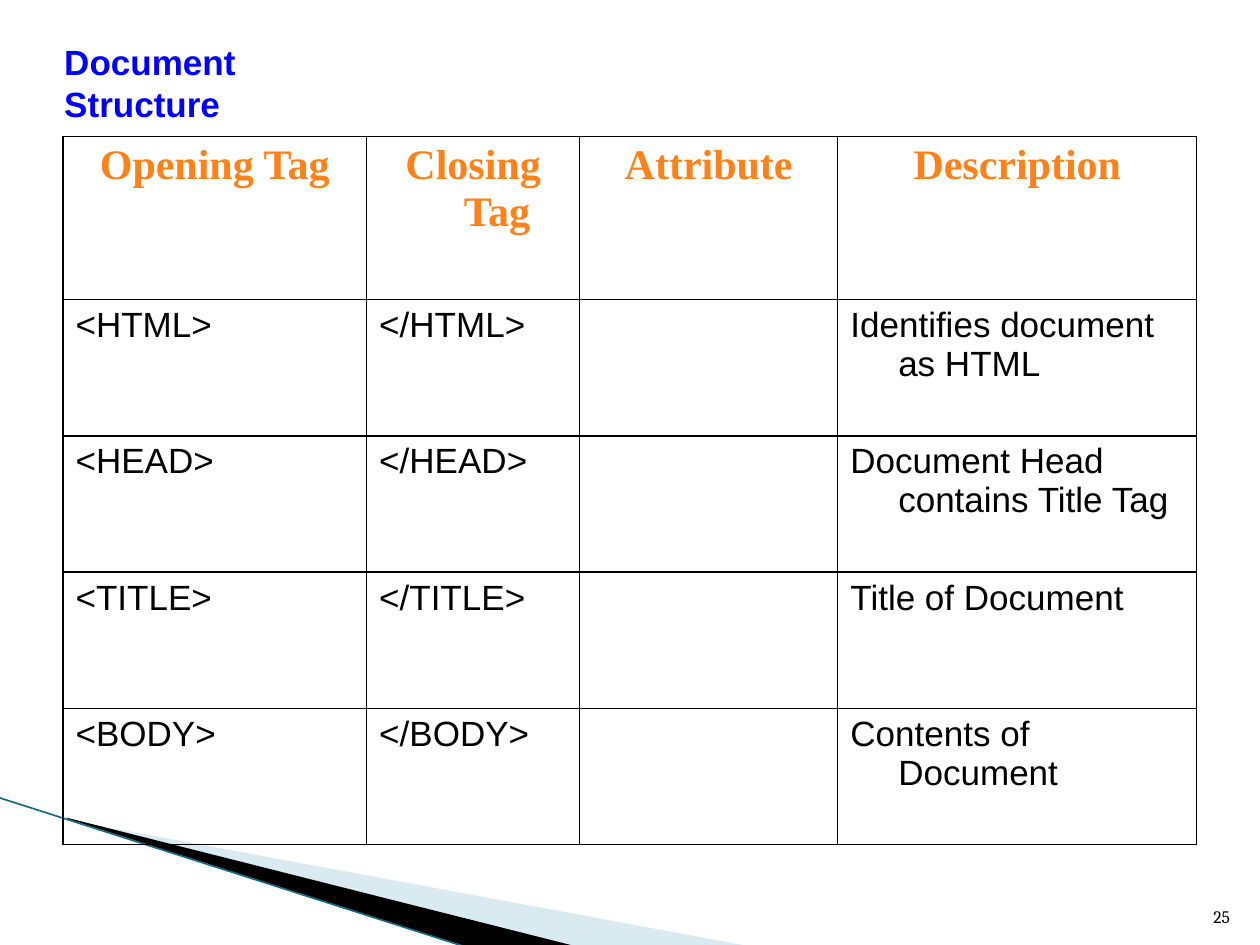
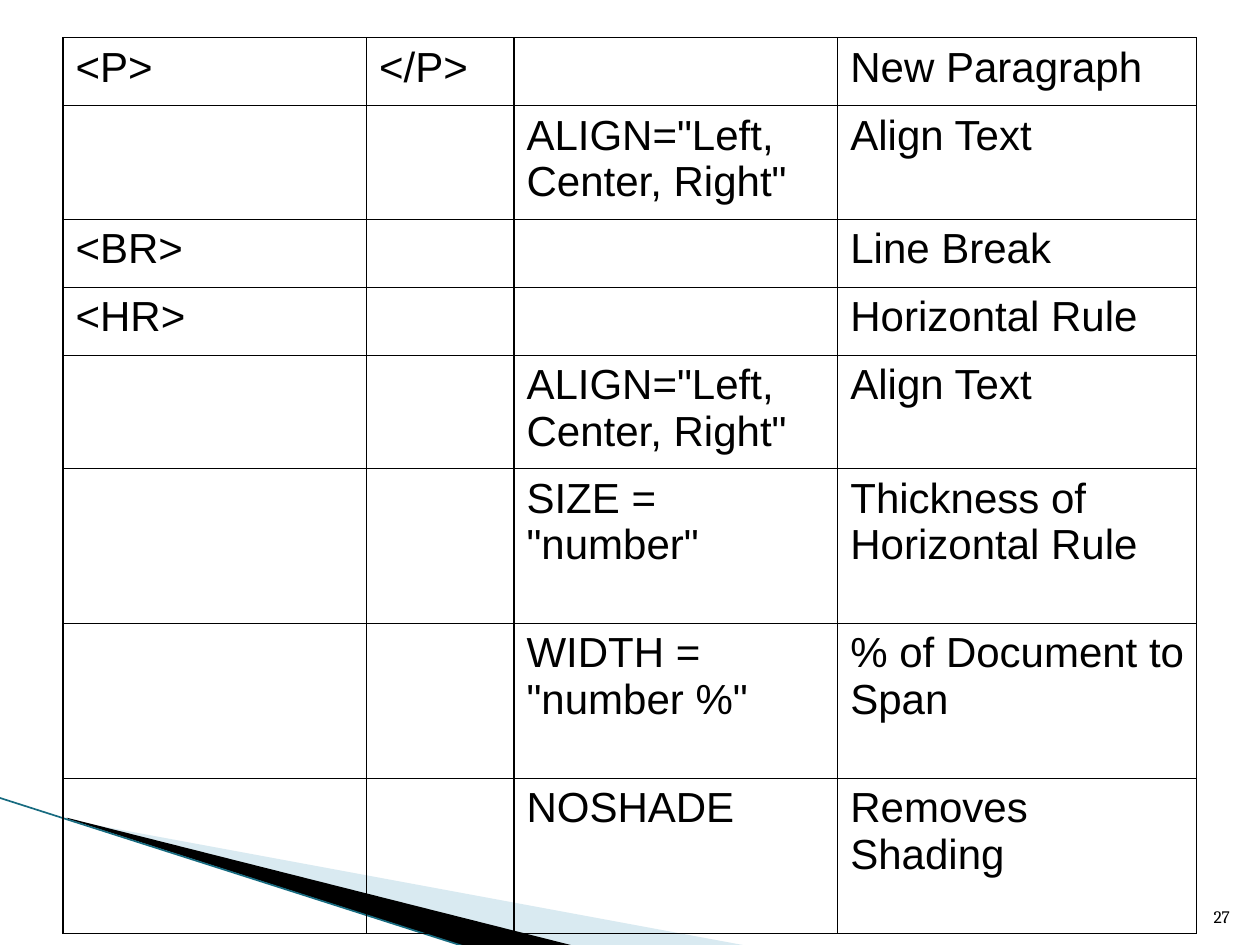
from pptx import Presentation
from pptx.dml.color import RGBColor
from pptx.enum.shapes import MSO_CONNECTOR
from pptx.enum.text import MSO_ANCHOR, MSO_AUTO_SIZE, PP_ALIGN
from pptx.oxml.ns import qn
from pptx.util import Inches, Pt
from lxml.etree import SubElement

BLACK = RGBColor(0x00, 0x00, 0x00)
BLUE = RGBColor(0x00, 0x00, 0xFF)
ORANGE = RGBColor(0xFF, 0x81, 0x19)
PALE_BLUE = RGBColor(0xA0, 0xCB, 0xDC)
TEAL = RGBColor(0x17, 0x6B, 0x80)

TITLE_ONLY, BLANK = 5, 6
TABLE_LEFT = 0.5
HANGING = 0.38


def write(text_frame, text, size=20, font="Arial", color=BLACK, bold=False,
          align=PP_ALIGN.LEFT, hanging=0):
    """Put one formatted paragraph into a text frame."""
    paragraph = text_frame.paragraphs[0]
    paragraph.alignment = align
    if hanging:
        properties = paragraph._p.get_or_add_pPr()
        properties.set("marL", str(Inches(hanging)))
        properties.set("indent", str(-Inches(hanging)))
    run = paragraph.add_run()
    run.text = text
    run.font.size = Pt(size)
    run.font.name = font
    run.font.bold = bold
    run.font.color.rgb = color


class Deck:
    """Holds the presentation, its style and the current slide."""

    def __init__(self):
        self.presentation = Presentation()
        self.presentation.slide_width = Inches(10)
        self.presentation.slide_height = Inches(7.5)
        self.slide = None

    def new_slide(self, number, layout=BLANK):
        layouts = self.presentation.slide_layouts
        self.slide = self.presentation.slides.add_slide(layouts[layout])
        # Corner decoration shared by all slides
        self.band([(0.55, 6.51), (5.95, 7.51), (4.56, 7.51), (0.55, 6.5)],
                  (0.78, 5.47, 4.16, 1.58), PALE_BLUE, opacity=40)
        self.band([(0.53, 6.49), (4.57, 7.51), (3.72, 7.52), (0.54, 6.5)],
                  (-0.06, 6.33, 4.16, 0.92), BLACK)
        self.line((-0.01, 6.33), (3.71, 7.52), TEAL, 0.95)
        self.page_number(number)

    def band(self, points, frame, color, opacity=100):
        """Draw a filled outline whose points may reach beyond its frame."""
        corners = [(Inches(x), Inches(y)) for x, y in points]
        builder = self.slide.shapes.build_freeform(*corners[0])
        builder.add_line_segments(corners[1:], close=True)
        shape = builder.convert_to_shape()
        left, top, width, height = [Inches(value) for value in frame]
        outline = next(shape._element.iter(qn("a:path")))
        outline.set("w", str(width))
        outline.set("h", str(height))
        for point in outline.iter(qn("a:pt")):
            point.set("x", str(int(point.get("x")) + shape.left - left))
            point.set("y", str(int(point.get("y")) + shape.top - top))
        shape.left, shape.top = left, top
        shape.width, shape.height = width, height
        shape.shadow.inherit = False
        shape.fill.solid()
        shape.fill.fore_color.rgb = color
        shape.line.fill.background()
        if opacity < 100:
            fill_color = shape._element.spPr.find(qn("a:solidFill"))[0]
            SubElement(fill_color, qn("a:alpha")).set("val", str(opacity * 1000))

    def line(self, start, end, color, width):
        ends = [Inches(value) for value in start + end]
        connector = self.slide.shapes.add_connector(MSO_CONNECTOR.STRAIGHT, *ends)
        connector.line.color.rgb = color
        connector.line.width = Pt(width)
        SubElement(connector._element.spPr, qn("a:effectLst"))

    def page_number(self, number):
        box = self.slide.shapes.add_textbox(
            Inches(9.46), Inches(7.01), Inches(0.4), Inches(0.4))
        box.text_frame.word_wrap = True
        box.text_frame.vertical_anchor = MSO_ANCHOR.BOTTOM
        write(box.text_frame, str(number), size=10, font="Cambria",
              align=PP_ALIGN.RIGHT)

    def title(self, text):
        title = self.slide.shapes.title
        title.left, title.top = Inches(0.51), Inches(0.32)
        title.width, title.height = Inches(2.66), Inches(0.84)
        frame = title.text_frame
        frame.margin_left = frame.margin_right = 0
        frame.margin_top = frame.margin_bottom = 0
        frame.word_wrap = True
        frame.auto_size = MSO_AUTO_SIZE.NONE
        frame.vertical_anchor = MSO_ANCHOR.TOP
        write(frame, text, color=BLUE, bold=True)

    def table(self, top, widths, heights, rows, header=None, **text_format):
        """Draw a ruled table; header holds the format of the first row."""
        table = self.slide.shapes.add_table(
            len(rows), len(widths), Inches(TABLE_LEFT), Inches(top),
            Inches(sum(widths)), Inches(sum(heights))).table
        table.first_row = table.horz_banding = False
        for column, width in zip(table.columns, widths):
            column.width = Inches(width)
        for row, height in zip(table.rows, heights):
            row.height = Inches(height)
        for row_index, texts in enumerate(rows):
            cell_format = dict(text_format)
            if header and row_index == 0:
                cell_format.update(header)
            for column_index, text in enumerate(texts):
                cell = table.cell(row_index, column_index)
                self.rule(cell)
                cell.fill.background()
                if text:
                    write(cell.text_frame, text, **cell_format)

    def rule(self, cell):
        """Give a cell a thin black border on every side."""
        properties = cell._tc.get_or_add_tcPr()
        for side in ("lnL", "lnR", "lnT", "lnB"):
            border = SubElement(properties, qn("a:" + side))
            border.set("w", str(Pt(0.75)))
            fill = SubElement(border, qn("a:solidFill"))
            SubElement(fill, qn("a:srgbClr")).set("val", str(BLACK))


deck = Deck()

# Document structure tags
deck.new_slide(25, TITLE_ONLY)
deck.title("Document Structure")
deck.table(
    top=1.08,
    widths=[2.41, 1.69, 2.05, 2.85],
    heights=[1.3] + [1.08] * 4,
    rows=[
        ("Opening Tag", "Closing Tag", "Attribute", "Description"),
        ("<HTML>", "</HTML>", "", "Identifies document as HTML"),
        ("<HEAD>", "</HEAD>", "", "Document Head contains Title Tag"),
        ("<TITLE>", "</TITLE>", "", "Title of Document"),
        ("<BODY>", "</BODY>", "", "Contents of Document"),
    ],
    header=dict(size=24, font="Times New Roman", color=ORANGE, bold=True,
                align=PP_ALIGN.CENTER),
    hanging=HANGING,
)

# Paragraph, break and rule tags
ALIGN_ROW = ("", "", 'ALIGN="Left, Center, Right"', "Align Text")
deck.new_slide(27)
deck.table(
    top=0.3,
    widths=[2.41, 1.17, 2.57, 2.85],
    heights=[0.54, 0.9, 0.54, 0.54, 0.9] + [1.23] * 3,
    rows=[
        ("<P>", "</P>", "", "New Paragraph"),
        ALIGN_ROW,
        ("<BR>", "", "", "Line Break"),
        ("<HR>", "", "", "Horizontal Rule"),
        ALIGN_ROW,
        ("", "", 'SIZE = "number"', "Thickness of Horizontal Rule"),
        ("", "", 'WIDTH = "number %"', "% of Document to Span"),
        ("", "", "NOSHADE", "Removes Shading"),
    ],
    size=24,
)

deck.presentation.save("out.pptx")
